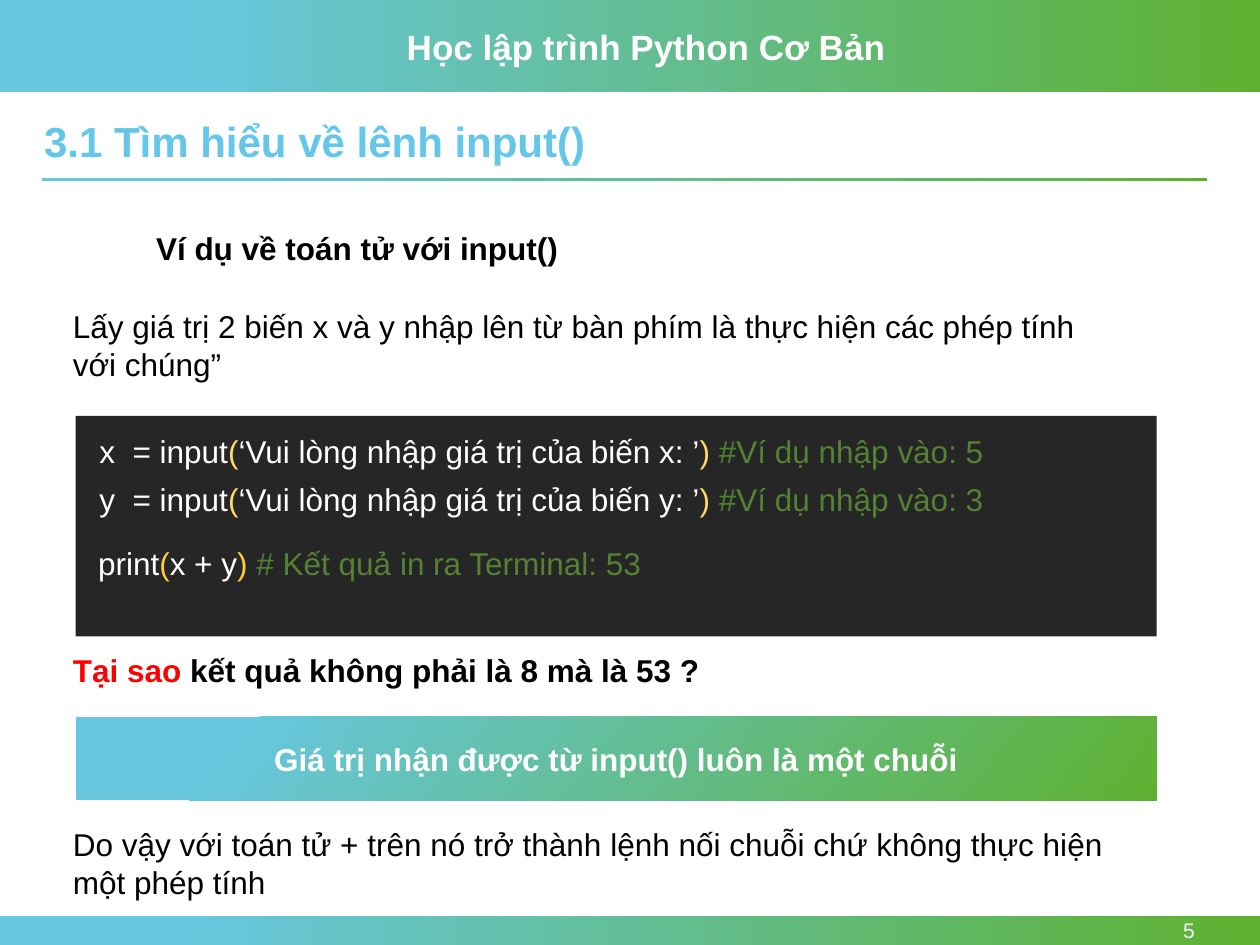
from pptx import Presentation
from pptx.dml.color import RGBColor
from pptx.enum.shapes import MSO_SHAPE
from pptx.enum.text import MSO_ANCHOR, MSO_AUTO_SIZE, PP_ALIGN
from pptx.util import Inches, Pt

WHITE = RGBColor(0xFF, 0xFF, 0xFF)
BLACK = RGBColor(0, 0, 0)
RED = RGBColor(0xFF, 0, 0)
TITLE_BLUE = RGBColor(0x64, 0xC7, 0xE9)
SKY = RGBColor(0x67, 0xC7, 0xDF)
LEAF = RGBColor(0x5E, 0xB1, 0x30)
DARK = RGBColor(0x26, 0x26, 0x26)
COMMENT = RGBColor(0x54, 0x82, 0x35)
GOLD = RGBColor(0xFF, 0xD9, 0x66)
AMBER = RGBColor(0xFE, 0xCC, 0x36)

COURSE = "Học lập trình Python Cơ Bản"
TITLE = "3.1 Tìm hiểu về lênh input()"
HEADING = "Ví dụ về toán tử với input()"
TASK = "Lấy giá trị 2 biến x và y nhập lên từ bàn phím là thực hiện các phép tính với chúng”"
QUESTION = [("Tại sao ", RED), ("kết quả không phải là 8 mà là 53 ?", BLACK)]
ANSWER = "Giá trị nhận được từ input() luôn là một chuỗi"
CONCLUSION = "Do vậy với toán tử + trên nó trở thành lệnh nối chuỗi chứ không thực hiện một phép tính"
PAGE = "5"

INPUTS = [("x", "5", 3.38), ("y", "3", 3.76)]
PRINT_LINE = [("print", WHITE), ("(", AMBER), ("x + y", WHITE), (") ", AMBER),
              ("# Kết quả in ra Terminal: 53", COMMENT)]

BODY_X, BODY_W = 0.48, 8.41
PANEL_X, PANEL_W = 0.6, 8.58


def write(s, text, size=18, color=BLACK, bold=False, align=PP_ALIGN.LEFT,
          anchor=MSO_ANCHOR.TOP, wrap=True, spacing=None):
    tf = s.text_frame
    tf.word_wrap = wrap
    tf.auto_size = MSO_AUTO_SIZE.NONE
    tf.vertical_anchor = anchor
    p = tf.paragraphs[0]
    p.alignment = align
    if spacing:
        p.line_spacing = spacing
    for words, tint in [(text, color)] if isinstance(text, str) else text:
        r = p.add_run()
        r.text = words
        r.font.name = "Arial"
        r.font.size = Pt(size)
        r.font.bold = bold
        r.font.color.rgb = tint


def add_text(slide, box, text, **style):
    write(slide.shapes.add_textbox(*map(Inches, box)), text, **style)


def add_panel(slide, box):
    s = slide.shapes.add_shape(MSO_SHAPE.RECTANGLE, *map(Inches, box))
    s.shadow.inherit = False
    s.line.fill.background()
    return s


def add_gradient(slide, box, angle=0):
    s = add_panel(slide, box)
    s.fill.gradient()
    s.fill.gradient_angle = angle
    for stop, position, color in zip(s.fill.gradient_stops, (0.15, 1), (SKY, LEAF)):
        stop.position = position
        stop.color.rgb = color
    return s


def main():
    prs = Presentation()
    prs.slide_width, prs.slide_height = Inches(10), Inches(7.5)
    slide = prs.slides.add_slide(prs.slide_layouts[5])

    for band in [(0, 0, 10, 0.73), (0, 7.27, 10, 0.23), (0.33, 1.41, 9.25, 0.03)]:
        add_gradient(slide, band)
    add_text(slide, (3.13, 0.15, 4, 0.44), COURSE, size=20, color=WHITE, bold=True, wrap=False)
    add_text(slide, (8.66, 7.27, 0.92, 0.23), PAGE, size=12, color=WHITE,
             align=PP_ALIGN.RIGHT, anchor=MSO_ANCHOR.MIDDLE)

    title = slide.shapes.title
    title.left, title.top, title.width, title.height = map(Inches, (0.25, 0.91, 9.25, 0.46))
    write(title, TITLE, size=24, color=TITLE_BLUE, bold=True, spacing=0.9)

    add_text(slide, (1.14, 1.77, 4.29, 0.4), HEADING, bold=True)
    add_text(slide, (BODY_X, 2.39, BODY_W, 0.71), TASK)

    code = add_panel(slide, (PANEL_X, 3.3, PANEL_W, 1.75))
    code.fill.solid()
    code.fill.fore_color.rgb = DARK
    for name, value, top in INPUTS:
        line = [(f"{name}  = input", WHITE), ("(", GOLD),
                (f"‘Vui lòng nhập giá trị của biến {name}: ’", WHITE), (") ", GOLD),
                (f"#Ví dụ nhập vào: {value}", COMMENT)]
        add_text(slide, (0.69, top, 7.78, 0.4), line)
    add_text(slide, (0.68, 4.27, 8.38, 0.4), PRINT_LINE)

    add_text(slide, (BODY_X, 5.12, BODY_W, 0.4), QUESTION, bold=True)
    banner = add_gradient(slide, (PANEL_X, 5.69, PANEL_W, 0.66), angle=320)
    write(banner, ANSWER, color=WHITE, bold=True, align=PP_ALIGN.CENTER,
          anchor=MSO_ANCHOR.MIDDLE)
    add_text(slide, (BODY_X, 6.5, BODY_W, 0.71), CONCLUSION)

    prs.save("out.pptx")


if __name__ == "__main__":
    main()
